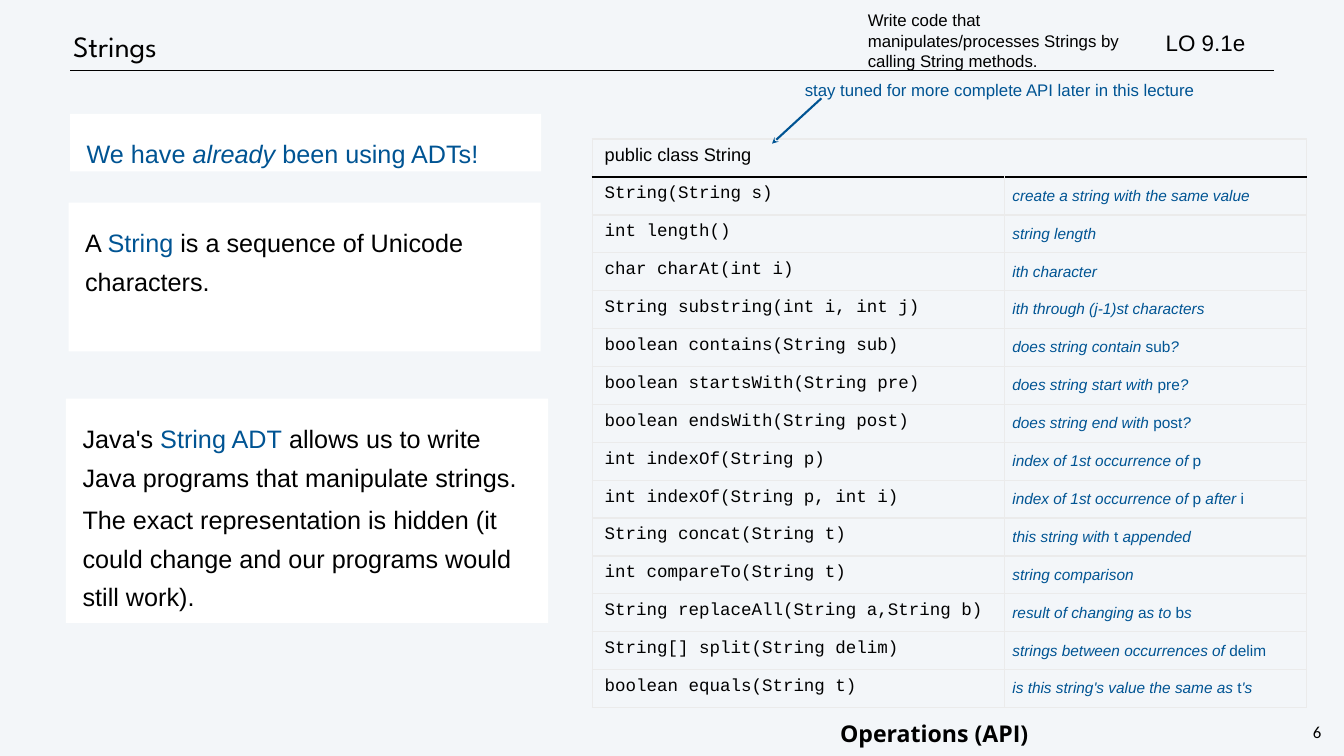
"""Build the Strings slide with its table of String methods."""
import lxml.etree
import pptx
import pptx.dml.color
import pptx.enum.shapes
import pptx.enum.text
import pptx.oxml
import pptx.oxml.ns
import pptx.util

Inches = pptx.util.Inches
Pt = pptx.util.Pt
ALIGN = pptx.enum.text.PP_ALIGN
ANCHOR = pptx.enum.text.MSO_ANCHOR
COLORS = {"background": "F3F6F9", "black": "000000", "accent": "005493",
          "white": "FFFFFF", "grid": "EBEBEB"}
METHODS = [
    ("String(String s)", "create a string with the same value"),
    ("int length()", "string length"),
    ("char charAt(int i)", "ith character"),
    ("String substring(int i, int j)", "ith through (j-1)st characters"),
    ("boolean contains(String sub)", "does string contain *sub*?"),
    ("boolean startsWith(String pre)", "does string start with *pre*?"),
    ("boolean endsWith(String post)", "does string end with *post*?"),
    ("int indexOf(String p)", "index of 1st occurrence of *p*"),
    ("int indexOf(String p, int i)", "index of 1st occurrence of *p* after *i*"),
    ("String concat(String t)", "this string with *t* appended"),
    ("int compareTo(String t)", "string comparison"),
    ("String replaceAll(String a,String b)", "result of changing *a*s to *b*s"),
    ("String[] split(String delim)", "strings between occurrences of *delim*"),
    ("boolean equals(String t)", "is this string's value the same as *t*'s"),
]


def rgb(color):
    """Return the named colour."""
    return pptx.dml.color.RGBColor.from_string(COLORS[color])


def set_attributes(target, values):
    """Set each named value on the target."""
    for name, value in values.items():
        setattr(target, name, value)


def font(size, color="black", name="Arial", **values):
    """Return the format values of a run."""
    return {"size": Pt(size), "name": name, "color": color, **values}


class SlideBuilder:
    """Holds the style and the current slide."""

    card_layout = {"line_spacing": Pt(55), "space_before": Pt(6)}
    method_layout = {"line_spacing": 0.5, "space_before": Pt(18)}

    def __init__(self, presentation):
        self.slide = presentation.slides.add_slide(presentation.slide_layouts[5])
        self.slide.background.fill.solid()
        self.slide.background.fill.fore_color.rgb = rgb("background")

    def add_text(self, frame, paragraphs, base, marked=None, layout=None):
        """Add paragraphs, giving the parts between asterisks the marked format."""
        for index, text in enumerate(paragraphs):
            paragraph = frame.add_paragraph() if index else frame.paragraphs[0]
            set_attributes(paragraph, {"alignment": ALIGN.LEFT, **(layout or {})})
            for position, part in enumerate(text.split("*")):
                if part:
                    values = {**base, **(marked or {})} if position % 2 else dict(base)
                    run = paragraph.add_run()
                    run.text = part
                    run.font.color.rgb = rgb(values.pop("color"))
                    set_attributes(run.font, values)

    def prepare(self, frame, inset, anchor=ANCHOR.TOP, wrap=True):
        """Set the insets, anchor and wrapping of a text frame."""
        sides = ("left", "top", "right", "bottom")
        set_attributes(frame, {f"margin_{side}": Inches(inset) for side in sides})
        set_attributes(frame, {"vertical_anchor": anchor, "word_wrap": wrap})

    def title(self, text, box, base, layout):
        """Place and format the title."""
        title = self.slide.shapes.title
        set_attributes(title, dict(zip(("left", "top", "width", "height"), map(Inches, box))))
        self.prepare(title.text_frame, 0.06, ANCHOR.MIDDLE)
        self.add_text(title.text_frame, [text], base, layout=layout)

    def label(self, text, box, base, inset=0.06, anchor=ANCHOR.TOP, wrap=True, layout=None):
        """Add a text box."""
        frame = self.slide.shapes.add_textbox(*map(Inches, box)).text_frame
        self.prepare(frame, inset, anchor, wrap)
        self.add_text(frame, [text], base, layout=layout)

    def card(self, paragraphs, box, base, marked):
        """Add a white rectangle with text."""
        shape = self.slide.shapes.add_shape(
            pptx.enum.shapes.MSO_SHAPE.RECTANGLE, *map(Inches, box))
        shape.shadow.inherit = False
        shape.fill.solid()
        shape.fill.fore_color.rgb = rgb("white")
        shape.line.fill.background()
        self.prepare(shape.text_frame, 0.33)
        self.add_text(shape.text_frame, paragraphs, base, marked, self.card_layout)

    def line(self, start, end, color, width, head=None):
        """Add a straight line, with an optional head at its start."""
        line = self.slide.shapes.add_connector(
            pptx.enum.shapes.MSO_CONNECTOR.STRAIGHT, *map(Inches, start + end))
        line.line.color.rgb = rgb(color)
        line.line.width = Pt(width)
        qn = pptx.oxml.ns.qn
        if head:
            lxml.etree.SubElement(line.line._get_or_add_ln(), qn("a:headEnd"), type=head)
        lxml.etree.SubElement(line._element.spPr, qn("a:effectLst"))

    def borders(self, cell, top, bottom):
        """Draw the four borders of a cell."""
        grid = ("grid", 2)
        for side, (color, width) in zip("LRTB", (grid, grid, top, bottom)):
            cell._tc.get_or_add_tcPr().append(pptx.oxml.parse_xml(
                f'<a:ln{side} {pptx.oxml.ns.nsdecls("a")} w="{Pt(width)}"><a:solidFill>'
                f'<a:srgbClr val="{COLORS[color]}"/></a:solidFill></a:ln{side}>'))

    def table(self, heading, rows, box, widths):
        """Add the method table under a merged heading row."""
        table = self.slide.shapes.add_table(len(rows) + 1, 2, *map(Inches, box)).table
        set_attributes(table, {"first_row": False, "horz_banding": False})
        for column, width in zip(table.columns, widths):
            column.width = Inches(width)
        code = font(25, name="Courier New")
        note = font(22, "accent", italic=True)
        for index, texts in enumerate([(heading, "")] + rows):
            table.rows[index].height = Inches(box[3] / (len(rows) + 1))
            for column, text in enumerate(texts):
                cell = table.cell(index, column)
                inset = Inches(0.15 if column else 0.04)
                set_attributes(cell, {f"margin_{side}": inset
                                      for side in ("left", "top", "right", "bottom")})
                cell.vertical_anchor = ANCHOR.MIDDLE
                self.borders(cell, ("black", 3) if index == 1 else ("grid", 2),
                             ("black", 3) if index == 0 else ("grid", 2))
                cell.fill.background()
                if column:
                    self.add_text(cell.text_frame, [text], note, {"italic": False})
                else:
                    base = code if index else font(26)
                    self.add_text(cell.text_frame, [text], base, layout=self.method_layout)
                    properties = cell.text_frame.paragraphs[0]._p.get_or_add_pPr()
                    properties.set("marL", str(Inches(0.21)))
        table.cell(0, 0).merge(table.cell(0, 1))


def main():
    """Build and save the slide."""
    presentation = pptx.Presentation()
    presentation.slide_width = Inches(26.67)
    presentation.slide_height = Inches(15)
    builder = SlideBuilder(presentation)
    builder.line((1.39, 1.4), (25.28, 1.4), "black", 1)
    builder.title("Strings", (1.39, 0.42, 22.62, 0.99), font(42, name="League Spartan"),
                  {"line_spacing": Pt(50), "space_before": Pt(3)})
    builder.label("6", (25.92, 14.29, 0.43, 0.47), font(24, name="Calibri"), 0.04, wrap=False,
                  layout={"alignment": ALIGN.CENTER, "line_spacing": Pt(28)})
    builder.table("public class String", METHODS, (11.75, 2.76, 14.17, 11.28), (8.19, 5.98))
    builder.label("Operations (API)", (16.47, 14.32, 4, 0.65),
                  font(33, name="Open Sans", bold=True), wrap=False,
                  layout={"alignment": ALIGN.RIGHT, "line_spacing": 0.8})
    accent = {"color": "accent"}
    builder.card(["Java's *String ADT* allows us to write Java programs that manipulate strings.",
                  "The exact representation is hidden (it could change and our programs would "
                  "still work)."], (1.31, 7.91, 9.57, 4.45), font(36), accent)
    builder.card(["A *String* is a sequence of Unicode characters."],
                 (1.36, 4.02, 9.37, 2.95), font(36), accent)
    builder.label("stay tuned for more complete API later in this lecture",
                  (15.86, 1.46, 8.81, 0.61), font(24, "accent"), 0.11, wrap=False,
                  layout={"line_spacing": Pt(30), "space_before": Pt(1)})
    builder.line((15.32, 2.85), (16.3, 1.95), "accent", 3, "stealth")
    builder.card(["We have *already* been using ADTs!"], (1.39, 2.26, 9.35, 1.14),
                 font(36, "accent"), {"italic": True})
    builder.label("LO 9.1e", (23.07, 0.51, 2.99, 0.65), font(32), anchor=ANCHOR.MIDDLE)
    builder.label("Write code that manipulates/processes Strings by calling String methods.",
                  (17.16, 0.14, 5.82, 1.32), font(24), anchor=ANCHOR.MIDDLE)
    presentation.save("out.pptx")


if __name__ == "__main__":
    main()
